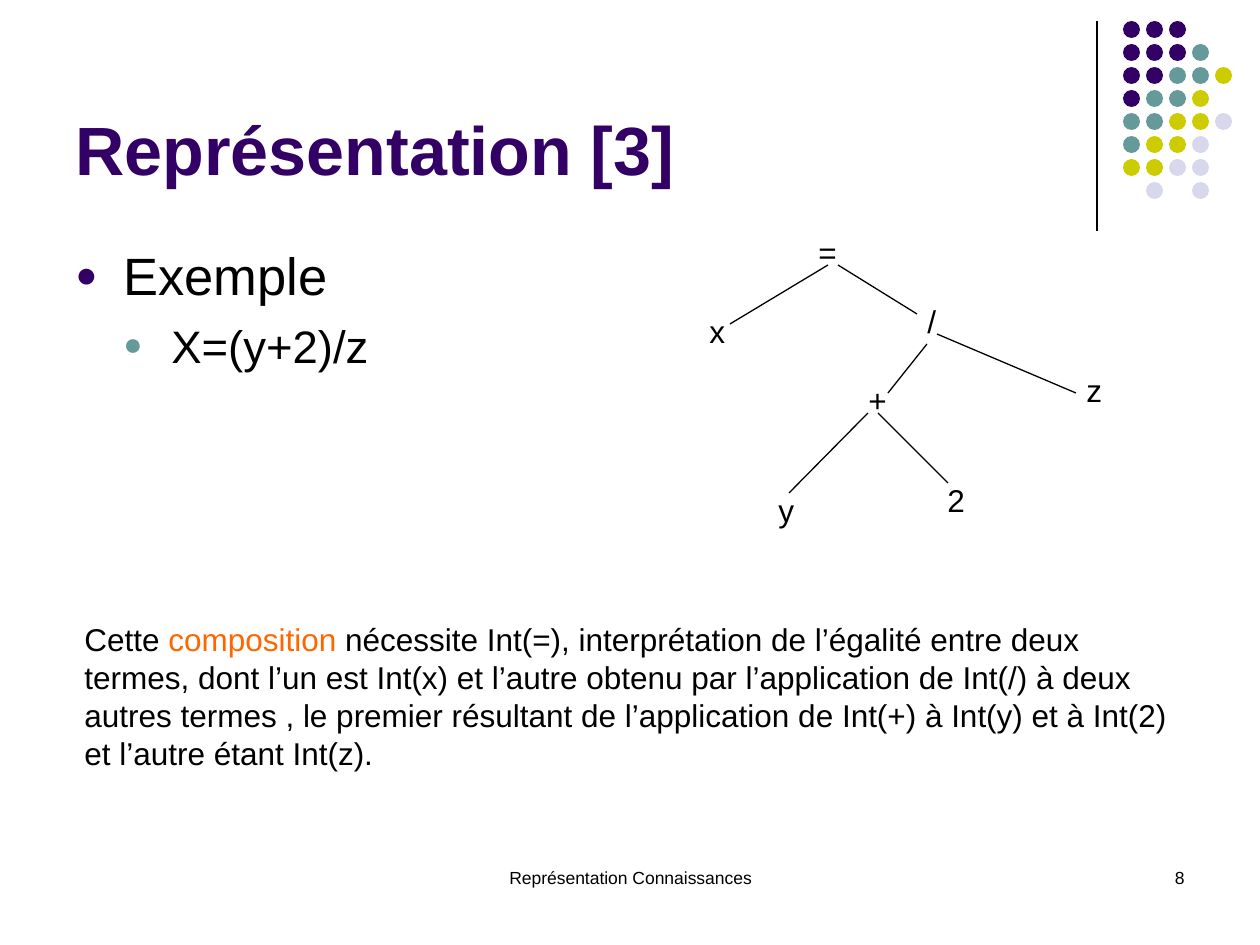
import pptx
import pptx.util
import pptx.dml.color
import pptx.enum.shapes
import pptx.enum.text
import pptx.oxml
import pptx.oxml.ns
import lxml.etree

RGBColor = pptx.dml.color.RGBColor
PURPLE = RGBColor(0x33, 0x00, 0x66)
TEAL = RGBColor(0x66, 0x99, 0x99)
OLIVE = RGBColor(0xCC, 0xCC, 0x00)
LAVENDER = RGBColor(0xD8, 0xD8, 0xEC)
ORANGE = RGBColor(0xFF, 0x66, 0x00)
BLACK = RGBColor(0x00, 0x00, 0x00)

FONT = "Arial"
LEFT = pptx.enum.text.PP_ALIGN.LEFT
CENTER = pptx.enum.text.PP_ALIGN.CENTER
RIGHT = pptx.enum.text.PP_ALIGN.RIGHT

DOT_COLORS = {"P": PURPLE, "T": TEAL, "O": OLIVE, "L": LAVENDER}
DOT_ROWS = ["PPP", "PPPT", "PPTTO", "PTTO", "TTOOL", "TOOL", "OOLL", " L L"]

TREE_LABELS = [
    ("=", 109, 0, 43),
    ("x", 0, 79, 40),
    ("/", 218, 69, 34),
    ("+", 159, 148, 43),
    ("y", 69, 258, 40),
    ("2", 238, 248, 43),
    ("z", 377, 138, 40),
]
TREE_BRANCHES = [
    (131, 38, 33, 97),
    (141, 38, 220, 87),
    (230, 117, 191, 166),
    (240, 107, 379, 166),
    (171, 186, 92, 266),
    (181, 186, 251, 256),
]
BULLET_ITEMS = [("Exemple", 30, PURPLE, 0), ("X=(y+2)/z", 26, TEAL, 6.5)]
EXPLANATION = [
    ("Cette ", BLACK),
    ("composition", ORANGE),
    (
        " nécessite Int(=), interprétation de l’égalité entre deux termes, "
        "dont l’un est Int(x) et l’autre obtenu par l’application de Int(/) "
        "à deux autres termes , le premier résultant de l’application de "
        "Int(+) à Int(y) et à Int(2) et l’autre étant Int(z).",
        BLACK,
    ),
]


def px(length):
    """Turn pixels at 126 to the inch into EMU."""
    return pptx.util.Emu(round(length * 914400 / 126))


def add_box(page, box, wrap=True):
    """Add an empty text box and return its text frame."""
    frame = page.shapes.add_textbox(*map(px, box)).text_frame
    frame.word_wrap = wrap
    return frame


def style(para, size, color=BLACK, bold=False, align=LEFT):
    """Set the font and alignment of a paragraph."""
    para.alignment = align
    para.font.name = FONT
    para.font.size = pptx.util.Pt(size)
    para.font.bold = bold
    para.font.color.rgb = color


def add_line(page, x1, y1, x2, y2):
    """Draw a thin black straight line without shadow."""
    line = page.shapes.add_connector(
        pptx.enum.shapes.MSO_CONNECTOR.STRAIGHT, px(x1), px(y1), px(x2), px(y2)
    )
    line.line.color.rgb = BLACK
    line.line.width = pptx.util.Pt(0.75)
    properties = line._element.spPr
    lxml.etree.SubElement(properties, pptx.oxml.ns.qn("a:effectLst"))


def add_bullet(para, color, indent):
    """Give a paragraph a hanging round bullet of the given colour."""
    properties = para._p.get_or_add_pPr()
    properties.set("marL", str(indent))
    properties.set("indent", str(-px(48)))
    namespace = pptx.oxml.ns.nsdecls("a")
    for markup in (
        f'<a:buClr {namespace}><a:srgbClr val="{color}"/></a:buClr>',
        f'<a:buSzPct {namespace} val="70000"/>',
        f'<a:buFont {namespace} typeface="{FONT}"/>',
        f'<a:buChar {namespace} char="●"/>',
    ):
        properties.append(pptx.oxml.parse_xml(markup))


def draw_ornament(page, box):
    """Draw the vertical rule and the grid of coloured dots."""
    left, top, width, height = box
    add_line(page, left, top, left, top + height)
    size, pitch = 17, 23
    for row, codes in enumerate(DOT_ROWS):
        for column, code in enumerate(codes):
            if code == " ":
                continue
            dot = page.shapes.add_shape(
                pptx.enum.shapes.MSO_SHAPE.OVAL,
                px(left + 26 + column * pitch),
                px(top + row * pitch),
                px(size),
                px(size),
            )
            dot.shadow.inherit = False
            dot.fill.solid()
            dot.fill.fore_color.rgb = DOT_COLORS[code]
            dot.line.fill.background()


def draw_text(page, box, text, size, color=BLACK, bold=False, align=LEFT,
              anchor=pptx.enum.text.MSO_ANCHOR.TOP, wrap=True):
    """Place a single paragraph in a box."""
    frame = add_box(page, box, wrap)
    frame.vertical_anchor = anchor
    para = frame.paragraphs[0]
    para.text = text
    style(para, size, color, bold, align)


def draw_bullets(page, box):
    """Place the example and its formula as a two-level list."""
    frame = add_box(page, box)
    for level, (text, size, color, space) in enumerate(BULLET_ITEMS):
        para = frame.add_paragraph() if level else frame.paragraphs[0]
        para.text = text
        para.level = level
        para.space_before = pptx.util.Pt(space)
        add_bullet(para, color, px(48 * (level + 1)))
        style(para, size)


def draw_tree(page, box):
    """Draw the expression tree with its labels and branches."""
    left, top = box[:2]
    for text, x, y, width in TREE_LABELS:
        draw_text(page, (left + x, top + y, width, 50), text, 18, wrap=False)
    for x1, y1, x2, y2 in TREE_BRANCHES:
        add_line(page, left + x1, top + y1, left + x2, top + y2)


def draw_explanation(page, box):
    """Place the explanation with its highlighted word."""
    para = add_box(page, box).paragraphs[0]
    style(para, 18)
    for text, color in EXPLANATION:
        span = para.add_run()
        span.text = text
        span.font.color.rgb = color


def main():
    """Build the slide and save it."""
    deck = pptx.Presentation()
    deck.slide_width, deck.slide_height = px(1260), px(945)
    page = deck.slides.add_slide(deck.slide_layouts[6])
    draw_ornament(page, (1097, 21, 136, 210))
    draw_text(page, (63, 16, 1040, 179), "Représentation [3]", 39, PURPLE,
              bold=True, anchor=pptx.enum.text.MSO_ANCHOR.BOTTOM)
    draw_bullets(page, (63, 237, 388, 295))
    draw_tree(page, (697, 227, 417, 308))
    draw_explanation(page, (72, 614, 1124, 164))
    draw_text(page, (431, 861, 399, 63), "Représentation Connaissances", 10,
              align=CENTER)
    draw_text(page, (903, 861, 294, 63), "8", 10, align=RIGHT)
    deck.save("out.pptx")


if __name__ == "__main__":
    main()
